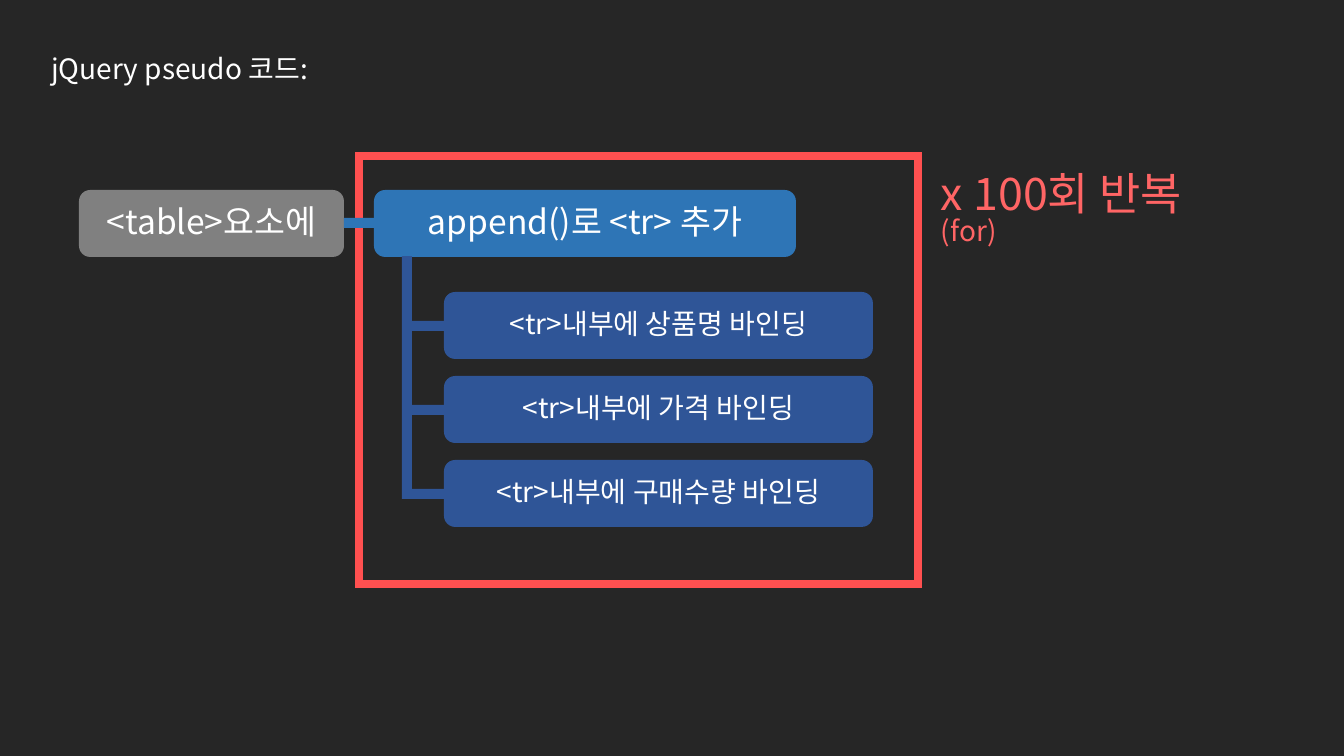
import dataclasses

import pptx
import pptx.dml.color
import pptx.enum.shapes
import pptx.enum.text
import pptx.oxml.ns
import pptx.util
from lxml import etree

PX = 914400 / 100.8
SHAPE = pptx.enum.shapes.MSO_SHAPE
ALIGN = pptx.enum.text.PP_ALIGN
ANCHOR = pptx.enum.text.MSO_ANCHOR


@dataclasses.dataclass(frozen=True)
class Theme:
    """Colours, font and type sizes of the slide."""
    font: str = "Noto Sans CJK KR"
    back: str = "262626"
    text: str = "FFFFFF"
    table: str = "808080"
    append: str = "2E75B6"
    bind: str = "2F5597"
    frame: str = "FF5050"
    loop: str = "FF6565"
    small: int = 20
    medium: int = 24
    large: int = 32


THEME = Theme()


def px(*lengths):
    """Turn pixel lengths into EMU."""
    return [pptx.util.Emu(round(n * PX)) for n in lengths]


def rgb(colour):
    """Make a colour from its hex string."""
    return pptx.dml.color.RGBColor.from_string(colour)


def add_run(p, text, size, colour):
    """Add one run in the slide font for Latin and Korean letters."""
    r = p.add_run()
    r.text = text
    r.font.size = pptx.util.Pt(size)
    r.font.name = THEME.font
    r.font.color.rgb = rgb(colour)
    ea = etree.SubElement(r._r.get_or_add_rPr(), pptx.oxml.ns.qn("a:ea"))
    ea.set("typeface", THEME.font)


def add_shape(s, kind, box, colour):
    """Add a flat filled shape without outline."""
    sp = s.shapes.add_shape(kind, *px(*box))
    sp.shadow.inherit = False
    sp.fill.solid()
    sp.fill.fore_color.rgb = rgb(colour)
    sp.line.fill.background()
    return sp


def add_bar(s, box, colour):
    """Add a plain bar that links two steps."""
    return add_shape(s, SHAPE.RECTANGLE, box, colour)


def add_step(s, box, text, size, colour):
    """Add a rounded box with a centred label."""
    sp = add_shape(s, SHAPE.ROUNDED_RECTANGLE, box, colour)
    tf = sp.text_frame
    tf.vertical_anchor = ANCHOR.MIDDLE
    p = tf.paragraphs[0]
    p.alignment = ALIGN.CENTER
    p.line_spacing = 0.9
    add_run(p, text, size, THEME.text)


def add_frame(s, box):
    """Add the square-cornered outline around the repeated steps."""
    sp = s.shapes.add_shape(SHAPE.RECTANGLE, *px(*box))
    sp.shadow.inherit = False
    sp.fill.background()
    sp.line.color.rgb = rgb(THEME.frame)
    sp.line.width = pptx.util.Pt(6)
    miter = etree.SubElement(sp.line._get_or_add_ln(), pptx.oxml.ns.qn("a:miter"))
    miter.set("lim", "800000")


def set_title(s, box, text):
    """Place and format the title placeholder."""
    sp = s.shapes.title
    sp.left, sp.top, sp.width, sp.height = px(*box)
    tf = sp.text_frame
    tf.word_wrap = False
    tf.auto_size = pptx.enum.text.MSO_AUTO_SIZE.NONE
    tf.vertical_anchor = ANCHOR.TOP
    p = tf.paragraphs[0]
    p.alignment = ALIGN.LEFT
    p.line_spacing = 0.9
    add_run(p, text, THEME.small, THEME.text)


def add_note(s, box, lines):
    """Add a text box from (text, size, line spacing) lines."""
    tf = s.shapes.add_textbox(*px(*box)).text_frame
    tf.word_wrap = True
    for i, (text, size, spacing) in enumerate(lines):
        p = tf.add_paragraph() if i else tf.paragraphs[0]
        p.line_spacing = spacing
        add_run(p, text, size, THEME.loop)


def add_bindings(s, labels):
    """Add the stem and one branch with a step for each label."""
    top, pitch, height, thick = 292, 84, 67, 10
    inset = (height - thick) // 2 + 1
    stem_top = 256
    stem_end = top + pitch * (len(labels) - 1) + inset + thick
    add_bar(s, (402, stem_top, thick, stem_end - stem_top), THEME.bind)
    for i, label in enumerate(labels):
        y = top + i * pitch
        add_bar(s, (406, y + inset, 77, thick), THEME.bind)
        add_step(s, (444, y, 429, height), label, THEME.small, THEME.bind)


def main():
    """Build the slide and save it."""
    prs = pptx.Presentation()
    prs.slide_width, prs.slide_height = px(1344, 756)
    s = prs.slides.add_slide(prs.slide_layouts[5])
    s.background.fill.solid()
    s.background.fill.fore_color.rgb = rgb(THEME.back)

    set_title(s, (41, 50, 297, 46), "jQuery pseudo 코드:")
    add_frame(s, (359, 156, 559, 428))
    add_step(s, (79, 190, 265, 67), "<table>요소에", THEME.medium, THEME.table)
    add_step(s, (374, 190, 422, 67), "append()로 <tr> 추가", THEME.medium, THEME.append)
    add_bar(s, (344, 218, 38, 10), THEME.append)
    add_bindings(s, [
        "<tr>내부에 상품명 바인딩",
        "<tr>내부에 가격 바인딩",
        "<tr>내부에 구매수량 바인딩",
    ])
    add_note(s, (931, 167, 343, 104), [
        ("x 100회 반복", THEME.large, 0.9),
        ("(for)", THEME.small, 0.8),
    ])
    prs.save("out.pptx")


if __name__ == "__main__":
    main()
